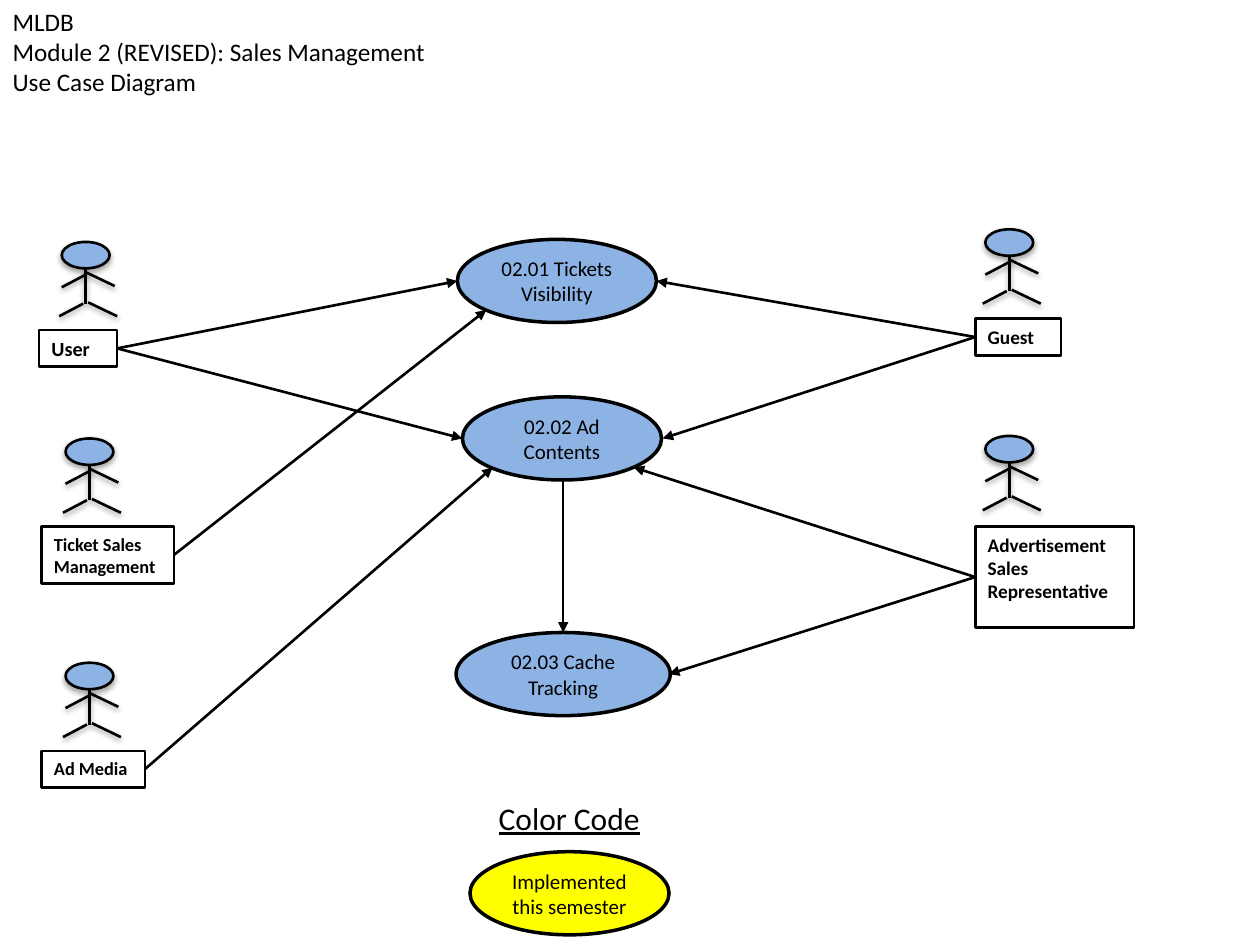
from pptx import Presentation
from pptx.dml.color import RGBColor
from pptx.enum.shapes import MSO_CONNECTOR as CONNECTOR, MSO_SHAPE as SHAPE
from pptx.enum.text import MSO_ANCHOR as ANCHOR, PP_ALIGN as ALIGN
from pptx.oxml import parse_xml
from pptx.oxml.ns import nsdecls
from pptx.util import Inches, Pt

BLACK = RGBColor(0x00, 0x00, 0x00)
BLUE = RGBColor(0x8C, 0xB3, 0xE3)
YELLOW = RGBColor(0xFF, 0xFF, 0x00)


def add_line(shapes, start, end, arrow=False):
    """Arrows are flat; limbs of the actors cast a soft shadow."""
    ends = [Inches(value) for value in (*start, *end)]
    line = shapes.add_connector(CONNECTOR.STRAIGHT, *ends)
    line.line.color.rgb = BLACK
    line.line.width = Pt(1.5)
    if arrow:
        line.line._get_or_add_ln().append(
            parse_xml(f'<a:tailEnd {nsdecls("a")} type="triangle"/>'))
    shadow = "" if arrow else (
        '<a:outerShdw blurRad="40000" dist="20000" dir="5400000" rotWithShape="0">'
        '<a:srgbClr val="000000"><a:alpha val="38000"/></a:srgbClr></a:outerShdw>')
    line._element.spPr.append(
        parse_xml(f'<a:effectLst {nsdecls("a")}>{shadow}</a:effectLst>'))


def add_box(shapes, kind, place, fill, width, text="", size=12):
    """Ellipses hold centred text, rectangles hold bold labels."""
    box = shapes.add_shape(kind, *[Inches(value) for value in place])
    box.shadow.inherit = False
    if fill is None:
        box.fill.background()
    else:
        box.fill.solid()
        box.fill.fore_color.rgb = fill
    box.line.color.rgb = BLACK
    box.line.width = Pt(width)
    if text:
        label = kind == SHAPE.RECTANGLE
        frame = box.text_frame
        frame.word_wrap = True
        frame.vertical_anchor = ANCHOR.TOP if label else ANCHOR.MIDDLE
        frame.text = text
        para = frame.paragraphs[0]
        para.alignment = ALIGN.LEFT if label else ALIGN.CENTER
        font = para.runs[0].font
        font.name, font.size, font.bold = "Calibri", Pt(size), label
        font.color.rgb = BLACK
    return box


deck = Presentation()
deck.slide_width, deck.slide_height = Inches(10), Inches(7.5)
page = deck.slides.add_slide(deck.slide_layouts[5])

# Title
title = page.shapes.title
title.left, title.top = Inches(0), Inches(0)
title.width, title.height = Inches(4.33), Inches(0.82)
title.text_frame.word_wrap = True
title.text_frame.vertical_anchor = ANCHOR.MIDDLE
title.text_frame.text = (
    "MLDB\vModule 2 (REVISED): Sales Management\nUse Case Diagram")
for para in title.text_frame.paragraphs:
    para.alignment = ALIGN.LEFT
    for span in para.runs:
        span.font.name, span.font.size = "Calibri", Pt(14.4)
        span.font.color.rgb = BLACK

# Actors: head corner, label box, text, size
actors = {
    "user": (0.49, 1.92, (0.31, 2.62, 0.62, 0.29), "User", 11.5),
    "guest": (7.82, 1.82, (7.74, 2.53, 0.68, 0.29), "Guest", 11),
    "seller": (7.82, 3.46, (7.74, 4.18, 1.26, 0.8),
               "Advertisement Sales Representative", 11),
    "tickets": (0.52, 3.48, (0.33, 4.18, 1.05, 0.45),
                "Ticket Sales Management", 10.5),
    "media": (0.52, 5.26, (0.33, 5.96, 0.82, 0.29), "Ad Media", 10.5),
}
# Body, arms and legs, measured from the top centre of the head
limbs = [
    ((0, 0.21), (0, 0.49)),
    ((0, 0.26), (-0.19, 0.36)),
    ((-0.02, 0.49), (-0.21, 0.59)),
    ((0, 0.24), (0.23, 0.35)),
    ((0.02, 0.48), (0.25, 0.59)),
]
for left, top, place, text, size in actors.values():
    actor = page.shapes.add_group_shape().shapes
    head = add_box(actor, SHAPE.OVAL, (left, top, 0.38, 0.21), BLUE, 1.5)
    head._element.spPr.find("{*}effectLst").append(parse_xml(
        f'<a:outerShdw {nsdecls("a")} blurRad="40000" dist="23000" dir="5400000" '
        'rotWithShape="0"><a:srgbClr val="000000"><a:alpha val="35000"/>'
        '</a:srgbClr></a:outerShdw>'))
    for start, end in limbs:
        add_line(actor, *[(left + 0.19 + x, top + y) for x, y in (start, end)])
    add_box(actor, SHAPE.RECTANGLE, place, None, 1.5, text, size)

# Use cases and the colour key
ovals = [
    ((3.63, 1.9, 1.58, 0.66), BLUE, "02.01 Tickets Visibility"),
    ((3.67, 3.15, 1.58, 0.66), BLUE, "02.02 Ad Contents"),
    ((3.62, 5.02, 1.7, 0.66), BLUE, "02.03 Cache Tracking"),
    ((3.73, 6.76, 1.58, 0.66), YELLOW, "Implemented this semester"),
]
for place, fill, text in ovals:
    add_box(page.shapes, SHAPE.OVAL, place, fill, 2, text)

key = page.shapes.add_textbox(Inches(3.86), Inches(6.29), Inches(1.33), Inches(0.4))
key.text_frame.word_wrap = True
key.text_frame.text = "Color Code"
font = key.text_frame.paragraphs[0].runs[0].font
font.name, font.size, font.underline = "Calibri", Pt(18), True
font.color.rgb = BLACK

# Arrows from the inner side of each actor's label to the use cases
targets = {
    "user": [(3.63, 2.23), (3.67, 3.48)],
    "guest": [(5.21, 2.23), (5.26, 3.48)],
    "seller": [(5.03, 3.71), (5.31, 5.35)],
    "tickets": [(3.86, 2.46)],
    "media": [(3.91, 3.71)],
}
for name, ends in targets.items():
    left, top, width, height = actors[name][2]
    side = left + width if left < 5 else left
    for end in ends:
        add_line(page.shapes, (side, top + height / 2), end, arrow=True)
add_line(page.shapes, (4.47, 3.81), (4.47, 5.02), arrow=True)

deck.save("out.pptx")
